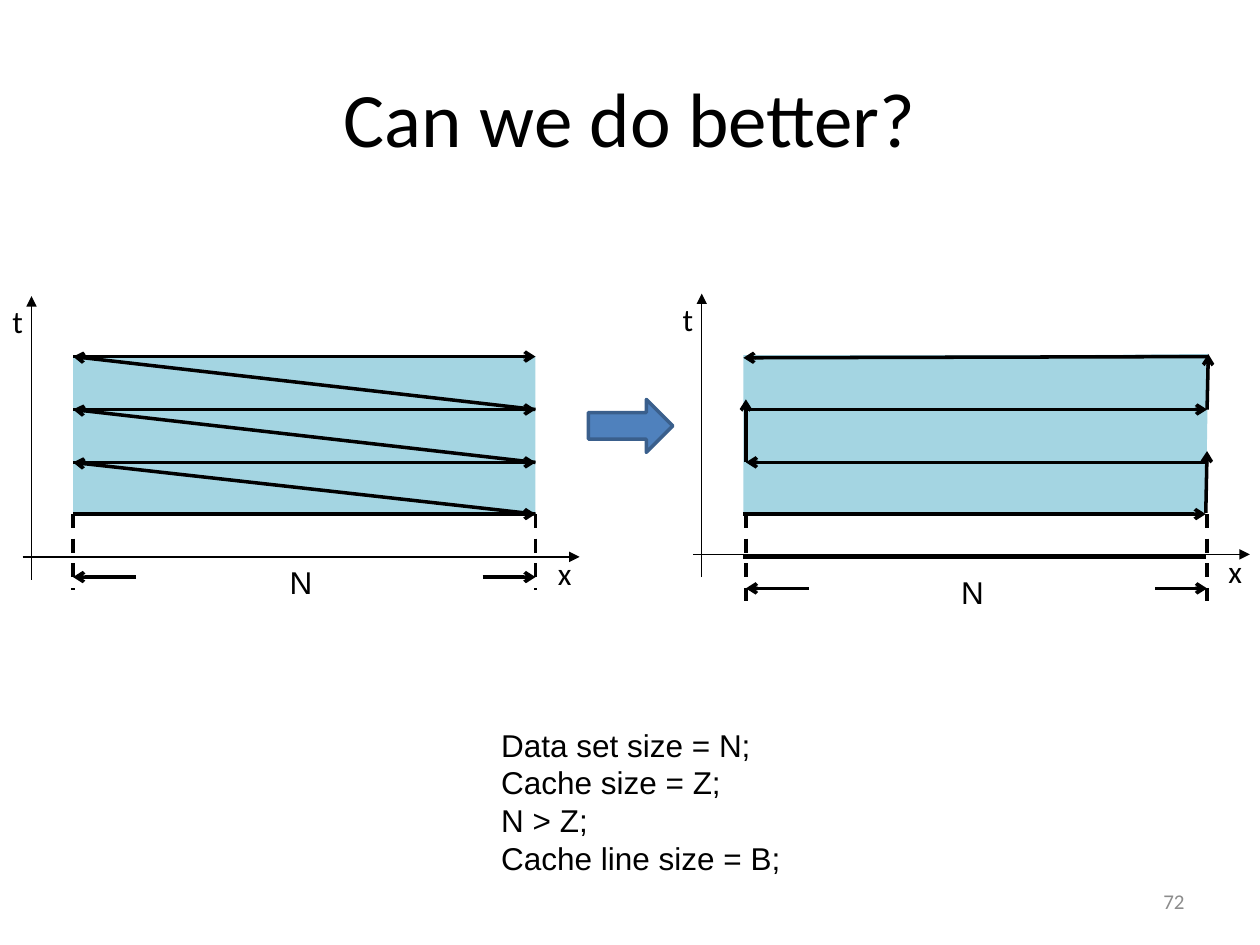
from dataclasses import dataclass
from typing import NamedTuple, Optional

from lxml.etree import SubElement
from pptx import Presentation
from pptx.dml.color import RGBColor
from pptx.enum.dml import MSO_LINE
from pptx.enum.shapes import MSO_CONNECTOR, MSO_SHAPE
from pptx.enum.text import MSO_ANCHOR, PP_ALIGN
from pptx.oxml.ns import qn
from pptx.util import Emu, Pt

PX = 9144  # 100 px to the inch


@dataclass(frozen=True)
class Theme:
    ink: str = "000000"
    muted: str = "8C8C8C"
    band: str = "4BACC6"
    band_alpha: int = 50
    arrow: str = "4F81BD"
    arrow_line: str = "3A5F8C"
    heading: str = "Calibri"
    body: str = "Arial"
    title_pt: int = 44
    text_pt: int = 18
    number_pt: int = 12
    axis_pt: float = 0.75
    line_pt: float = 2


T = Theme()


class Line(NamedTuple):
    x1: int
    y1: int
    x2: int
    y2: int
    head: Optional[str] = "arrow"
    width: float = T.line_pt
    dash: bool = False


class Label(NamedTuple):
    text: str
    x: int
    y: int
    w: int
    h: int
    font: str = T.body
    size: int = T.text_pt
    color: str = T.ink
    align: PP_ALIGN = PP_ALIGN.LEFT
    anchor: MSO_ANCHOR = MSO_ANCHOR.TOP
    wrap: bool = False


@dataclass(frozen=True)
class Panel:
    """A space-time diagram: axes, shaded band, sweeps and the width mark N."""
    axis_x: int
    axis_y: int
    band: list[tuple[int, int]]
    sweeps: list[Line]
    left: int
    right: int
    mark_y: int
    dash_end: int
    mark_left: int
    mark_right: int
    n_x: int
    n_y: int


def px(n: int) -> Emu:
    return Emu(n * PX)


def rgb(code: str) -> RGBColor:
    return RGBColor.from_string(code)


def draw_line(shapes, ln: Line) -> None:
    c = shapes.add_connector(MSO_CONNECTOR.STRAIGHT, *map(px, ln[:4]))
    c.line.color.rgb = rgb(T.ink)
    c.line.width = Pt(ln.width)
    if ln.dash:
        c.line.dash_style = MSO_LINE.DASH
    if ln.head:
        SubElement(c.line._get_or_add_ln(), qn("a:tailEnd"), type=ln.head)
    SubElement(c._element.spPr, qn("a:effectLst"))


def draw_label(shapes, lb: Label) -> None:
    tf = shapes.add_textbox(px(lb.x), px(lb.y), px(lb.w), px(lb.h)).text_frame
    tf.word_wrap = lb.wrap
    tf.vertical_anchor = lb.anchor
    tf.text = lb.text
    for p in tf.paragraphs:
        p.alignment = lb.align
        p.font.name = lb.font
        p.font.size = Pt(lb.size)
        p.font.color.rgb = rgb(lb.color)


def draw_band(shapes, points: list[tuple[int, int]]) -> None:
    fb = shapes.build_freeform(*points[0], scale=PX)
    fb.add_line_segments(points[1:], close=True)
    s = fb.convert_to_shape()
    s.shadow.inherit = False
    s.fill.solid()
    s.fill.fore_color.rgb = rgb(T.band)
    color = s._element.spPr.find(qn("a:solidFill"))[0]
    SubElement(color, qn("a:alpha"), val=str(T.band_alpha * 1000))
    s.line.fill.background()


def draw_panel(shapes, pn: Panel) -> None:
    ax, ay = pn.axis_x, pn.axis_y
    draw_band(shapes, pn.band)
    lines = [
        Line(ax - 7, ay, ax + 435, ay, "triangle", T.axis_pt),
        Line(ax, ay + 18, ax, ay - 207, "triangle", T.axis_pt),
        *pn.sweeps,
        Line(pn.left, 408, pn.left, pn.dash_end, None, dash=True),
        Line(pn.right, 408, pn.right, pn.dash_end, None, dash=True),
        Line(pn.mark_left, pn.mark_y, pn.left, pn.mark_y),
        Line(pn.mark_right, pn.mark_y, pn.right, pn.mark_y),
    ]
    for ln in lines:
        draw_line(shapes, ln)
    labels = [
        Label("t", ax - 25, ay - 207, 30, 40, T.heading),
        Label("x", ax + 408, ay - 7, 35, 40, T.heading),
        Label("N", pn.n_x, pn.n_y, 38, 40),
    ]
    for lb in labels:
        draw_label(shapes, lb)


def draw_block_arrow(shapes) -> None:
    s = shapes.add_shape(MSO_SHAPE.RIGHT_ARROW, px(467), px(317), px(67), px(42))
    s.shadow.inherit = False
    s.fill.solid()
    s.fill.fore_color.rgb = rgb(T.arrow)
    s.line.color.rgb = rgb(T.arrow_line)
    s.line.width = Pt(T.line_pt)


ROWS = [408, 367, 325, 283]  # time steps, first at the bottom

ONE_WAY = Panel(
    axis_x=25, axis_y=442,
    band=[(58, 283), (425, 283), (425, 408), (58, 408)],
    sweeps=[Line(58, y, 425, y) for y in ROWS]
    + [Line(425, y, 58, above) for y, above in zip(ROWS, ROWS[1:])],
    left=58, right=425, mark_y=458, dash_end=468,
    mark_left=108, mark_right=383, n_x=220, n_y=442,
)

ZIGZAG = Panel(
    axis_x=557, axis_y=440,
    band=[(590, 282), (849, 282), (959, 281), (957, 407), (590, 407)],
    sweeps=[
        Line(590, 442, 957, 442, None),
        Line(590, 408, 957, 408),
        Line(957, 407, 958, 358),
        Line(958, 367, 592, 367),
        Line(592, 367, 592, 317),
        Line(592, 325, 958, 325),
        Line(958, 325, 959, 281),
        Line(959, 283, 590, 284),
    ],
    left=592, right=958, mark_y=467, dash_end=477,
    mark_left=642, mark_right=917, n_x=753, n_y=450,
)

LABELS = [
    Label("Can we do better?", 50, 30, 900, 125, T.heading, T.title_pt,
          align=PP_ALIGN.CENTER, anchor=MSO_ANCHOR.MIDDLE, wrap=True),
    Label("Data set size = N;\nCache size = Z;\nN > Z;\nCache line size = B;",
          388, 571, 244, 131),
    Label("72", 717, 695, 233, 40, T.heading, T.number_pt, T.muted,
          PP_ALIGN.RIGHT, MSO_ANCHOR.MIDDLE, True),
]


def main() -> None:
    prs = Presentation()
    prs.slide_width, prs.slide_height = px(1000), px(750)
    shapes = prs.slides.add_slide(prs.slide_layouts[6]).shapes
    for lb in LABELS:
        draw_label(shapes, lb)
    for panel in (ZIGZAG, ONE_WAY):
        draw_panel(shapes, panel)
    draw_block_arrow(shapes)
    prs.save("out.pptx")


if __name__ == "__main__":
    main()
